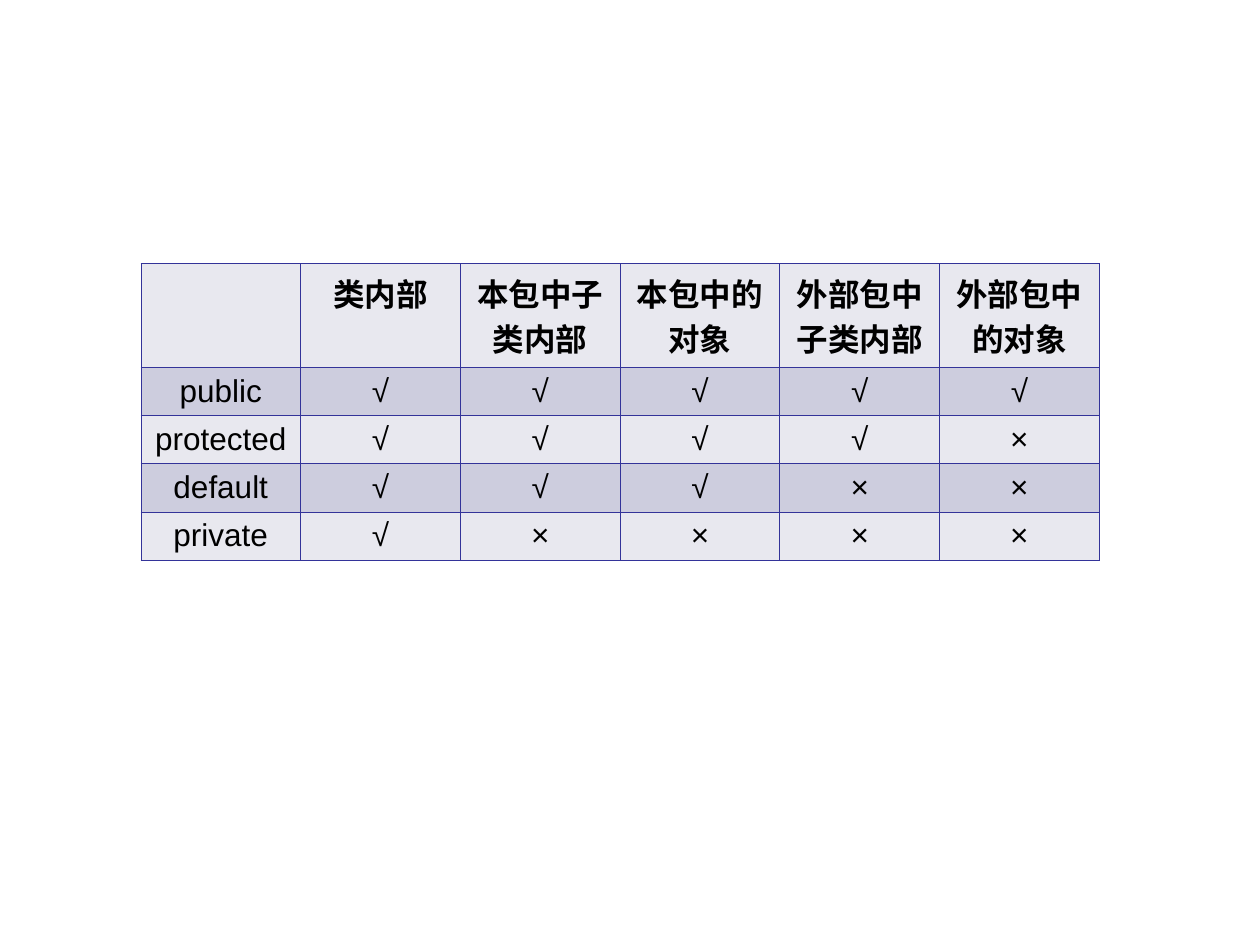
import pptx
import pptx.dml.color
import pptx.enum.text
import pptx.oxml
import pptx.oxml.ns
import pptx.util
from pptx.util import Cm

BLACK = pptx.dml.color.RGBColor(0x00, 0x00, 0x00)
BORDER = pptx.dml.color.RGBColor(0x33, 0x33, 0x99)
BANDS = (
    pptx.dml.color.RGBColor(0xE8, 0xE8, 0xEF),
    pptx.dml.color.RGBColor(0xCD, 0xCD, 0xDE),
)

ACCESS_ROWS = [
    ["", "类内部", "本包中子类内部", "本包中的对象", "外部包中子类内部", "外部包中的对象"],
    ["public", "√", "√", "√", "√", "√"],
    ["protected", "√", "√", "√", "√", "×"],
    ["default", "√", "√", "√", "×", "×"],
    ["private", "√", "×", "×", "×", "×"],
]
COL_WIDTH = Cm(3.22)
HEADER_HEIGHT = Cm(2.1)
ROW_HEIGHT = Cm(0.97)


def add_borders(cell):
    tcPr = cell._tc.get_or_add_tcPr()
    for side in ("lnL", "lnR", "lnT", "lnB"):
        tcPr.append(pptx.oxml.parse_xml(
            f'<a:{side} {pptx.oxml.ns.nsdecls("a")} w="{pptx.util.Pt(0.45)}">'
            f'<a:solidFill><a:srgbClr val="{BORDER}"/></a:solidFill></a:{side}>'
        ))


def format_cell(cell, text, fill, bold):
    add_borders(cell)
    cell.fill.solid()
    cell.fill.fore_color.rgb = fill
    cell.text = text
    p = cell.text_frame.paragraphs[0]
    p.alignment = pptx.enum.text.PP_ALIGN.CENTER
    p.font.name = "Arial"
    p.font.size = pptx.util.Pt(18)
    p.font.bold = bold
    p.font.color.rgb = BLACK


def add_access_table(s, left, top, rows):
    heights = [HEADER_HEIGHT] + [ROW_HEIGHT] * (len(rows) - 1)
    n_cols = len(rows[0])
    table = s.shapes.add_table(
        len(rows), n_cols, left, top, COL_WIDTH * n_cols, sum(heights)
    ).table
    table.first_row = False
    table.horz_banding = False
    for col in table.columns:
        col.width = COL_WIDTH
    for i, texts in enumerate(rows):
        table.rows[i].height = heights[i]
        for j, text in enumerate(texts):
            format_cell(table.cell(i, j), text, BANDS[i % 2], i == 0)


def main():
    prs = pptx.Presentation()
    prs.slide_width = Cm(25.4)
    prs.slide_height = Cm(19.05)
    s = prs.slides.add_slide(prs.slide_layouts[6])
    add_access_table(s, Cm(2.84), Cm(5.31), ACCESS_ROWS)
    prs.save("out.pptx")


if __name__ == "__main__":
    main()
